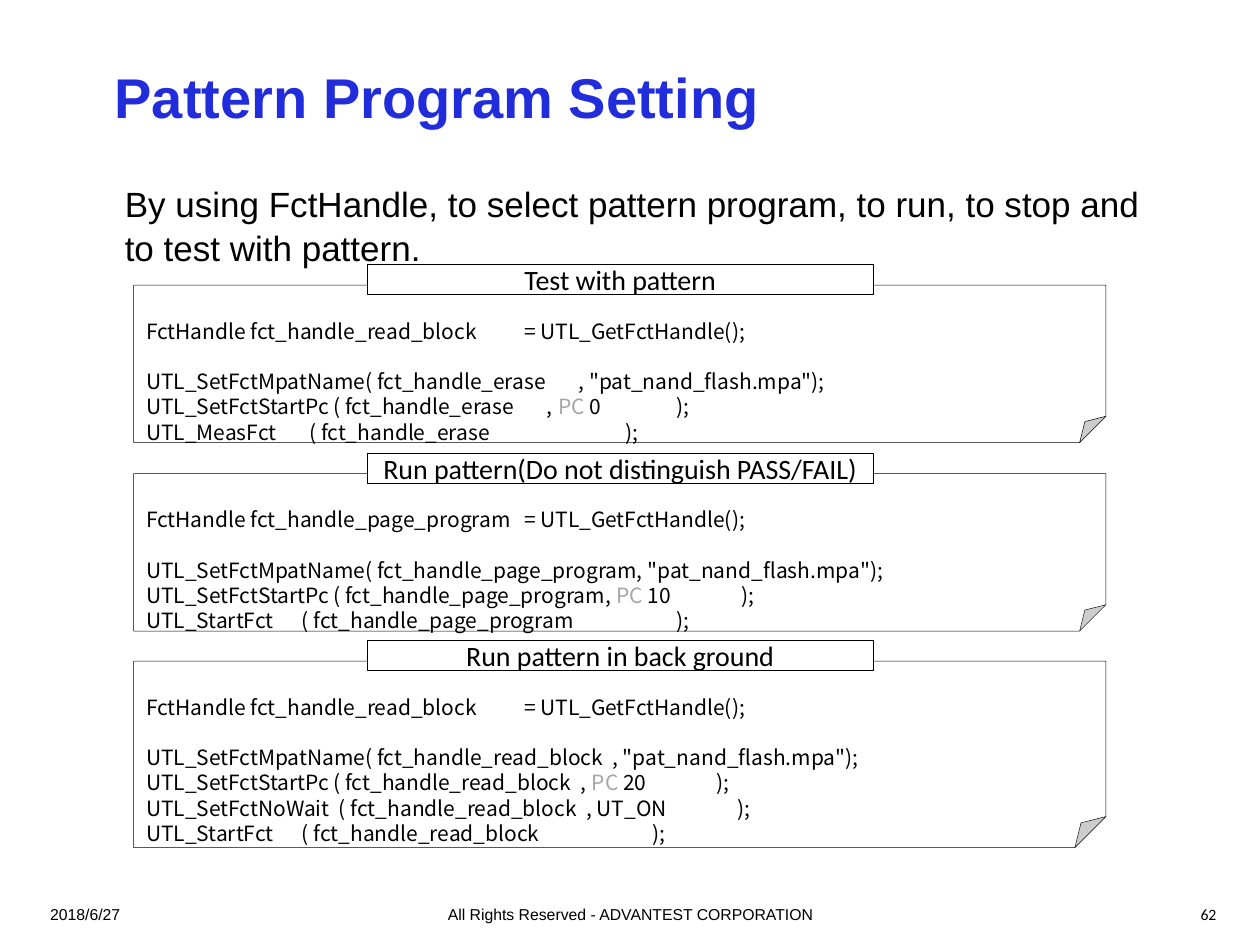
from dataclasses import dataclass

from pptx import Presentation
from pptx.dml.color import RGBColor
from pptx.enum.shapes import MSO_SHAPE
from pptx.enum.text import MSO_ANCHOR, MSO_AUTO_SIZE, PP_ALIGN
from pptx.shapes.autoshape import Shape
from pptx.slide import Slide
from pptx.text.text import TextFrame
from pptx.util import Pt

LEFT, CENTER, RIGHT = PP_ALIGN.LEFT, PP_ALIGN.CENTER, PP_ALIGN.RIGHT
TOP, MIDDLE = MSO_ANCHOR.TOP, MSO_ANCHOR.MIDDLE
FOLDED, RECT = MSO_SHAPE.FOLDED_CORNER, MSO_SHAPE.RECTANGLE
TITLE_ONLY = 5


@dataclass(frozen=True)
class Style:
    font: str
    size: float
    color: RGBColor
    bold: bool = False


@dataclass(frozen=True)
class Theme:
    black = RGBColor(0, 0, 0)
    white = RGBColor(255, 255, 255)
    muted = RGBColor(0xA6, 0xA6, 0xA6)
    title = Style("Arial", 32, RGBColor(0x21, 0x2C, 0xDA), True)
    body = Style("Arial", 20, black)
    footer = Style("Arial", 9, black)
    number = Style("Calibri", 9, black)
    label = Style("Calibri", 16, black)
    code = Style("Noto Sans CJK JP", 12, black)
    code_pitch = 14.4
    outline = 0.25


@dataclass(frozen=True)
class Box:
    left: float
    top: float
    width: float
    height: float

    def points(self) -> tuple[Pt, Pt, Pt, Pt]:
        return Pt(self.left), Pt(self.top), Pt(self.width), Pt(self.height)


@dataclass(frozen=True)
class Example:
    label: str
    top: float
    height: float
    declaration: str
    calls: tuple[str, ...]


THEME = Theme()
LABEL_RISE = 11.8

EXAMPLES = (
    Example("Test with pattern", 162.9, 90,
            "FctHandle fct_handle_read_block\t= UTL_GetFctHandle();",
            ('UTL_SetFctMpatName( fct_handle_erase       , "pat_nand_flash.mpa");',
             "UTL_SetFctStartPc ( fct_handle_erase       , PC 0                );",
             "UTL_MeasFct       ( fct_handle_erase                             );")),
    Example("Run pattern(Do not distinguish PASS/FAIL)", 270.6, 90,
            "FctHandle fct_handle_page_program\t= UTL_GetFctHandle();",
            ('UTL_SetFctMpatName( fct_handle_page_program, "pat_nand_flash.mpa");',
             "UTL_SetFctStartPc ( fct_handle_page_program, PC 10               );",
             "UTL_StartFct      ( fct_handle_page_program                      );")),
    Example("Run pattern in back ground", 377.8, 106.6,
            "FctHandle fct_handle_read_block\t= UTL_GetFctHandle();",
            ('UTL_SetFctMpatName( fct_handle_read_block  , "pat_nand_flash.mpa");',
             "UTL_SetFctStartPc ( fct_handle_read_block  , PC 20               );",
             "UTL_SetFctNoWait  ( fct_handle_read_block  , UT_ON               );",
             "UTL_StartFct      ( fct_handle_read_block                        );")),
)


def write(tf: TextFrame, text: str, style: Style, align: PP_ALIGN = LEFT) -> None:
    p = tf.paragraphs[0]
    p.text, p.alignment = text, align
    apply_style(p.font, style)


def apply_style(font, style: Style) -> None:
    font.name, font.size, font.bold = style.font, Pt(style.size), style.bold
    font.color.rgb = style.color


def add_title(s: Slide, text: str) -> None:
    sp = s.shapes.title
    sp.left, sp.top, sp.width, sp.height = Box(65.5, 33.8, 595.4, 42.5).points()
    tf = sp.text_frame
    tf.margin_left = tf.margin_right = tf.margin_top = tf.margin_bottom = 0
    tf.vertical_anchor, tf.auto_size = MIDDLE, MSO_AUTO_SIZE.NONE
    write(tf, text, THEME.title)


def add_text(s: Slide, box: Box, text: str, style: Style,
             align: PP_ALIGN = LEFT) -> TextFrame:
    tf = s.shapes.add_textbox(*box.points()).text_frame
    tf.word_wrap = True
    write(tf, text, style, align)
    return tf


def add_panel(s: Slide, kind: MSO_SHAPE, box: Box, anchor: MSO_ANCHOR) -> Shape:
    sp = s.shapes.add_shape(kind, *box.points())
    sp.shadow.inherit = False
    sp.fill.solid()
    sp.fill.fore_color.rgb = THEME.white
    sp.line.color.rgb = THEME.black
    sp.line.width = Pt(THEME.outline)
    sp.text_frame.word_wrap = False
    sp.text_frame.vertical_anchor = anchor
    return sp


def add_code_line(p, line: str) -> None:
    """Write one code line, with the PC keyword in the muted colour."""
    p.alignment, p.line_spacing = LEFT, Pt(THEME.code_pitch)
    apply_style(p.font, THEME.code)
    for part in line.partition("PC"):
        if part:
            r = p.add_run()
            r.text = part
            if part == "PC":
                r.font.color.rgb = THEME.muted


def add_example(s: Slide, example: Example) -> None:
    box = Box(76.4, example.top, 555.6, example.height)
    tf = add_panel(s, FOLDED, box, TOP).text_frame
    tf.margin_top = Pt(19)
    add_code_line(tf.paragraphs[0], example.declaration)
    for i, call in enumerate(example.calls):
        p = tf.add_paragraph()
        if i == 0:
            p.space_before = Pt(THEME.code_pitch)
        add_code_line(p, call)

    label_box = Box(209.7, example.top - LABEL_RISE, 289.4, 17.2)
    label = add_panel(s, RECT, label_box, MIDDLE)
    write(label.text_frame, example.label, THEME.label, CENTER)


def main() -> None:
    prs = Presentation()
    prs.slide_width, prs.slide_height = Pt(720), Pt(540)
    s = prs.slides.add_slide(prs.slide_layouts[TITLE_ONLY])

    add_title(s, "Pattern Program Setting")
    tf = add_text(s, Box(58.3, 99.4, 604, 368.6),
                  "By using FctHandle, to select pattern program, to run, "
                  "to stop and to test with pattern.", THEME.body)
    tf.margin_left = Pt(13)
    tf.paragraphs[0].line_spacing = 1.05

    add_text(s, Box(21.6, 513.4, 168, 17.3), "2018/6/27", THEME.footer)
    add_text(s, Box(246.2, 513.4, 228, 17.3),
             "All Rights Reserved - ADVANTEST CORPORATION", THEME.footer, CENTER)
    add_text(s, Box(534.2, 513.4, 168, 17.3), "62", THEME.number, RIGHT)

    for example in EXAMPLES:
        add_example(s, example)
    prs.save("out.pptx")


if __name__ == "__main__":
    main()
